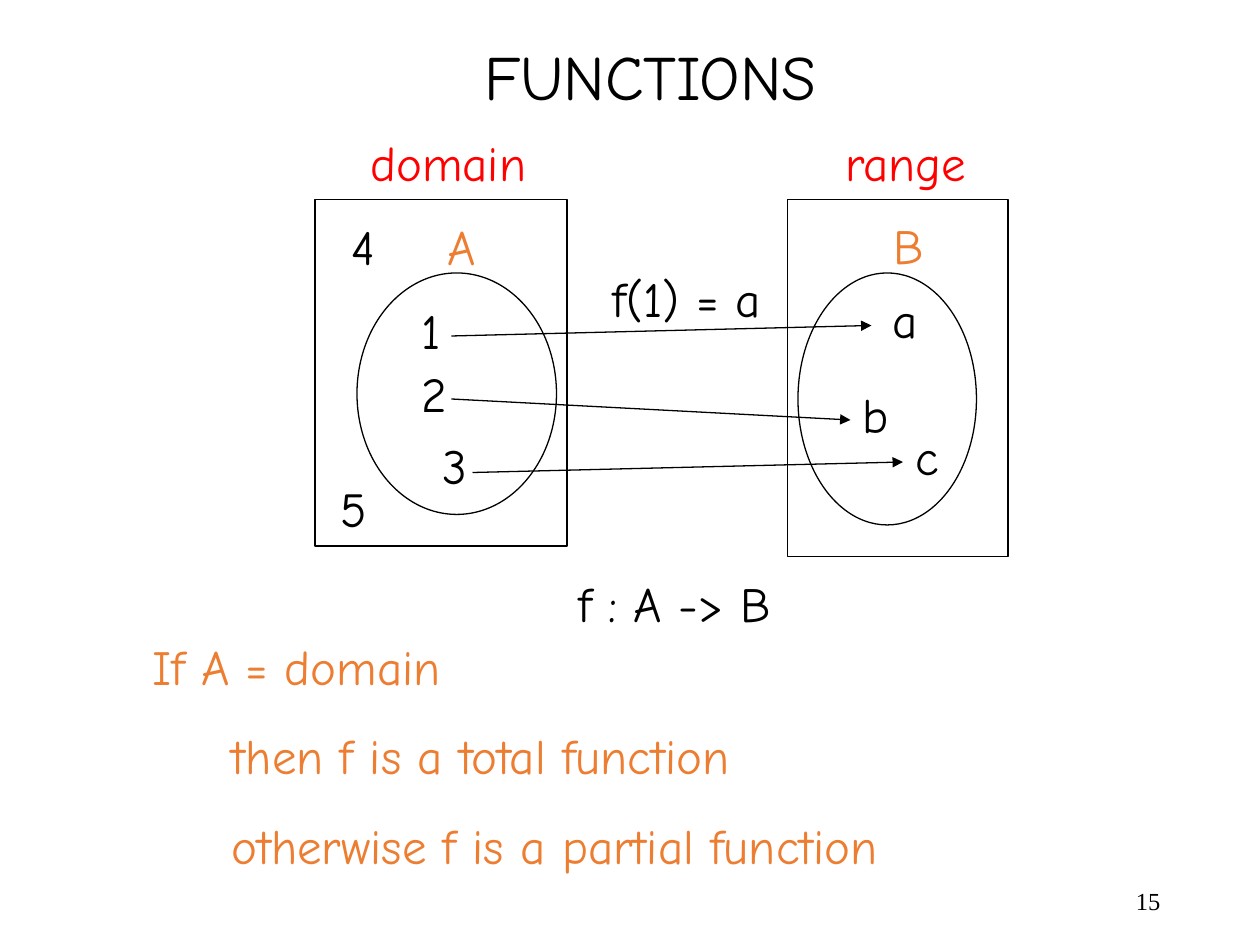
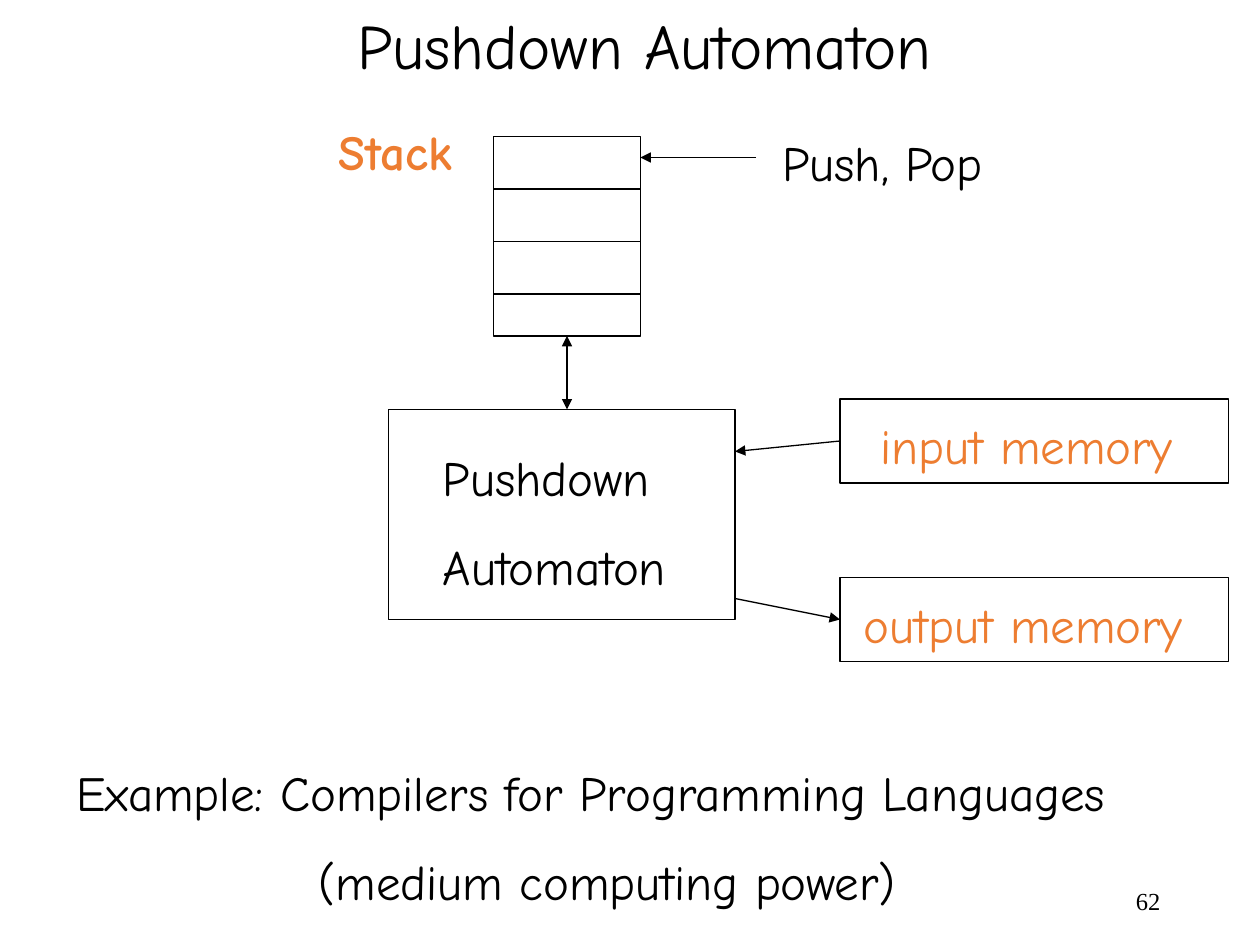
from lxml.etree import SubElement
from pptx import Presentation
from pptx.dml.color import RGBColor
from pptx.enum.shapes import MSO_CONNECTOR as Connector, MSO_SHAPE as Shape
from pptx.enum.text import MSO_ANCHOR as Anchor, MSO_AUTO_SIZE as AutoSize, PP_ALIGN as Align
from pptx.oxml.ns import qn
from pptx.util import Emu, Pt

PX = 7620  # EMU in one px, 120 px to the inch
TITLE_ONLY = 5
TOP, LEFT, BOTTOM, RIGHT = range(4)


def color(hex_code):
    return RGBColor.from_string(hex_code)


def px(*lengths):
    return [Emu(length * PX) for length in lengths]


def write(box, text, size=28, font="Comic Neue", ink="000000", bold=False,
          align=Align.LEFT, anchor=Anchor.TOP, indents=(), wrap=False):
    """Fill a box with one paragraph per line; indents go line by line, in px."""
    frame = box.text_frame
    frame.word_wrap = wrap
    frame.auto_size = AutoSize.NONE if wrap else AutoSize.SHAPE_TO_FIT_TEXT
    frame.vertical_anchor = anchor
    frame.text = text
    for number, paragraph in enumerate(frame.paragraphs):
        paragraph.alignment = align
        if number:
            paragraph.space_before = Pt(17.5)
        if number < len(indents) and indents[number]:
            properties = paragraph._p.get_or_add_pPr()
            properties.set("marL", str(indents[number] * PX))
            properties.set("indent", "0")
        face = paragraph.font
        face.name, face.size, face.bold = font, Pt(size), bold
        face.color.rgb = color(ink)


class Deck:
    BLACK, RED, ORANGE = "000000", "FF0000", "ED7D31"
    LINE_WIDTH = Pt(0.75)

    def __init__(self):
        self.show = Presentation()
        self.show.slide_width, self.show.slide_height = px(1200, 900)
        self.slide = None

    def start(self, title, x, y, width, number):
        """Open a slide with its title and page number."""
        self.slide = self.show.slides.add_slide(self.show.slide_layouts[TITLE_ONLY])
        heading = self.slide.shapes.title
        heading.left, heading.top, heading.width, heading.height = px(x, y, width, 84)
        write(heading, title, size=36)
        page = self.slide.shapes.add_textbox(*px(847, 834, 270, 48))
        write(page, number, size=14, font="Times New Roman", align=Align.RIGHT,
              anchor=Anchor.MIDDLE, wrap=True)

    def label(self, text, x, y, width, height=68, **style):
        write(self.slide.shapes.add_textbox(*px(x, y, width, height)), text, **style)

    def outline(self, kind, x, y, width, height):
        shape = self.slide.shapes.add_shape(kind, *px(x, y, width, height))
        shape.shadow.inherit = False
        shape.fill.background()
        self.stroke(shape.line)
        return shape

    def stroke(self, line):
        line.color.rgb = color(self.BLACK)
        line.width = self.LINE_WIDTH

    def line(self, start, end, head=False, tail=False, begin_at=None, end_at=None):
        """Draw a line; begin_at and end_at are (shape, side) joints."""
        link = self.slide.shapes.add_connector(Connector.STRAIGHT, *px(*start, *end))
        if begin_at:
            link.begin_connect(*begin_at)
        if end_at:
            link.end_connect(*end_at)
        self.stroke(link.line)
        stroke_xml = link.line._get_or_add_ln()
        for tag, wanted in (("a:headEnd", head), ("a:tailEnd", tail)):
            if wanted:
                SubElement(stroke_xml, qn(tag), type="triangle")
        SubElement(link._element.spPr, qn("a:effectLst"))


def functions(deck):
    deck.start("FUNCTIONS", 449, 30, 342, "15")

    # Domain and range, each with its set inside
    deck.outline(Shape.RECTANGLE, 300, 190, 240, 330)
    deck.outline(Shape.RECTANGLE, 750, 190, 210, 340)
    deck.outline(Shape.OVAL, 340, 260, 190, 230)
    deck.outline(Shape.OVAL, 760, 260, 170, 240)
    deck.label("domain", 341, 120, 172, ink=deck.RED)
    deck.label("range", 793, 120, 140, ink=deck.RED)
    deck.label("A", 414, 200, 50, ink=deck.ORANGE)
    deck.label("B", 839, 199, 53, ink=deck.ORANGE)

    # Elements
    for element, x, y, width in (
            ("1", 390, 280, 42), ("2", 390, 340, 48), ("3", 410, 409, 47),
            ("4", 323, 200, 47), ("5", 312, 450, 49),
            ("a", 838, 270, 48), ("b", 810, 360, 49), ("c", 860, 400, 46)):
        deck.label(element, x, y, width)

    # Mapping
    for argument, value in (((430, 320), (830, 310)),
                            ((430, 380), (810, 400)),
                            ((450, 450), (860, 440))):
        deck.line(argument, value, tail=True)
    deck.label("f(1) = a", 572, 250, 165)
    deck.label("f : A -> B", 539, 540, 224)

    # Total or partial
    deck.label("If A = domain\nthen f is a total function\n"
               "otherwise f is a partial function",
               133, 600, 733, 239, ink=deck.ORANGE, indents=(0, 76, 76))


def pushdown_automaton(deck):
    deck.start("Pushdown Automaton", 328, 0, 575, "62")

    # Stack with its cells
    stack = deck.outline(Shape.RECTANGLE, 470, 130, 140, 190)
    for cell in range(1, 4):
        y = 130 + 50 * cell
        deck.line((470, y), (610, y))
    deck.label("Stack", 311, 110, 133, ink=deck.ORANGE, bold=True)
    deck.line((720, 150), (610, 150), tail=True)
    deck.label("Push, Pop", 733, 120, 217)

    # Automaton
    deck.outline(Shape.RECTANGLE, 370, 390, 330, 200)
    deck.label("Pushdown\nAutomaton", 410, 420, 239, 154)
    deck.line((540, 320), (540, 390), head=True, tail=True, begin_at=(stack, BOTTOM))

    # Memories
    input_memory = deck.outline(Shape.RECTANGLE, 800, 380, 370, 80)
    output_memory = deck.outline(Shape.RECTANGLE, 800, 550, 370, 80)
    deck.label("input memory", 827, 390, 302, ink=deck.ORANGE)
    deck.label("output memory", 811, 560, 328, ink=deck.ORANGE)
    deck.line((700, 430), (800, 420), head=True, end_at=(input_memory, LEFT))
    deck.line((700, 570), (800, 590), tail=True, end_at=(output_memory, LEFT))

    # Example
    deck.label("Example: Compilers for Programming Languages\n"
               "(medium computing power)", 61, 720, 1039, 154, indents=(0, 231))


def main():
    deck = Deck()
    functions(deck)
    pushdown_automaton(deck)
    deck.show.save("out.pptx")


if __name__ == "__main__":
    main()
